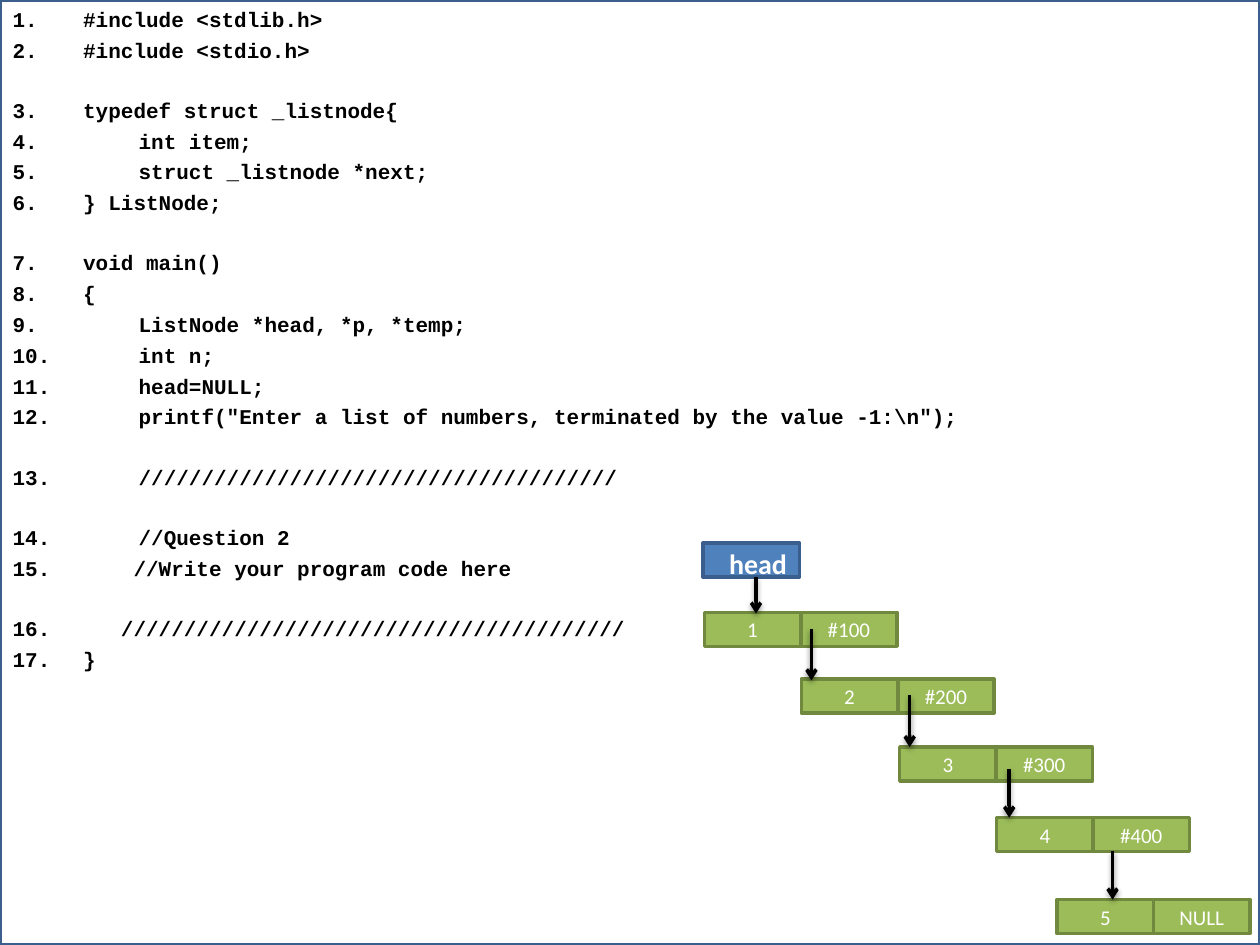
from lxml import etree
from pptx import Presentation, util as u
from pptx.dml.color import RGBColor
from pptx.enum import shapes, text
from pptx.oxml import parse_xml
from pptx.oxml.ns import nsdecls, qn

HUES = {"ink": "000000", "white": "FFFFFF", "green": "9BBC59",
        "moss": "71893E", "blue": "4F81BD", "navy": "3A5F8C"}

# Blocks of code, parted by a gap; each line is (indent in inches, code).
BASE, STEP = 0.56, 1.0
CODE = [
    [(BASE, "#include <stdlib.h>"), (BASE, "#include <stdio.h>")],
    [(BASE, "typedef struct _listnode{"), (STEP, "int item;"),
     (STEP, "struct _listnode *next;"), (BASE, "} ListNode;")],
    [(BASE, "void main()"), (BASE, "{"),
     (STEP, "ListNode *head, *p, *temp;"), (STEP, "int n;"),
     (STEP, "head=NULL;"),
     (STEP, 'printf("Enter a list of numbers, terminated by the value -1:\\n");')],
    [(STEP, "/" * 38)],
    [(STEP, "//Question 2"), (0.96, "//Write your program code here")],
    [(0.86, "/" * 40), (BASE, "}")],
]
LEAD, GAP = 3.2, 20

# Linked list: left and top of each node, its item and its link.
CELL_W, CELL_H = 0.765, 0.27
NODES = [(5.59, 4.86, "1", "#100"), (6.36, 5.39, "2", "#200"),
         (7.14, 5.93, "3", "#300"), (7.91, 6.49, "4", "#400"),
         (8.39, 7.14, "5", "NULL")]
HEAD = (5.58, 4.31)
# Arrows: x, top, bottom
LINKS = [(6.44, 4.99, 5.4), (7.22, 5.52, 5.93), (8.01, 6.1, 6.49),
         (8.83, 6.75, 7.14), (6.0, 4.58, 4.87)]

SHADE = f"""<a:effectLst {nsdecls('a')}>
  <a:outerShdw blurRad="39370" dist="20320" dir="5400000" rotWithShape="0">
    <a:srgbClr val="{HUES['ink']}"><a:alpha val="38000"/></a:srgbClr>
  </a:outerShdw>
</a:effectLst>"""


def hue(name):
    return RGBColor.from_string(HUES[name])


def put(obj, **vals):
    for key, val in vals.items():
        setattr(obj, key, val)


def style(run, font, size, color, bold=False):
    put(run.font, name=font, size=u.Pt(size), bold=bold)
    run.font.color.rgb = hue(color)


def box(slide, spot, size, line, fill=None):
    rect = slide.shapes.add_shape(
        shapes.MSO_SHAPE.RECTANGLE, *map(u.Inches, (*spot, *size)))
    rect.shadow.inherit = False
    if fill:
        rect.fill.solid()
        rect.fill.fore_color.rgb = hue(fill)
    else:
        rect.fill.background()
    rect.line.color.rgb = hue(line)
    rect.line.width = u.Pt(2)
    return rect


def label(rect, words, size, align, bold=False):
    frame = rect.text_frame
    put(frame, word_wrap=True, margin_top=0, margin_bottom=0,
        vertical_anchor=text.MSO_ANCHOR.MIDDLE)
    para = frame.paragraphs[0]
    para.alignment = align
    run = para.add_run()
    run.text = words
    style(run, "Calibri", size, "white", bold)
    return frame


def arrow(slide, x, top, end):
    line = slide.shapes.add_connector(
        shapes.MSO_CONNECTOR.STRAIGHT, *map(u.Inches, (x, top, x, end)))
    line.line.color.rgb = hue("ink")
    line.line.width = u.Pt(2)
    etree.SubElement(line.line._get_or_add_ln(), qn("a:tailEnd"), type="arrow")
    line._element.spPr.append(parse_xml(SHADE))


def listing(body):
    """Fill the body with numbered lines of code."""
    put(body, left=0, top=0, width=u.Inches(9.98), height=u.Inches(7.58))
    frame = body.text_frame
    put(frame, word_wrap=True, auto_size=text.MSO_AUTO_SIZE.NONE,
        vertical_anchor=text.MSO_ANCHOR.TOP)
    first = True
    for block in CODE:
        for row, (indent, code) in enumerate(block):
            para = frame.paragraphs[0] if first else frame.add_paragraph()
            para.space_before = u.Pt(LEAD if row or first else GAP)
            first = False
            props = para._p.get_or_add_pPr()
            props.set("marL", str(u.Inches(indent)))
            props.set("indent", str(-u.Inches(indent)))
            etree.SubElement(props, qn("a:buFont"), typeface="+mj-lt")
            etree.SubElement(props, qn("a:buAutoNum"), type="arabicPeriod")
            run = para.add_run()
            run.text = code
            style(run, "Courier New", 12, "ink", True)


def main():
    deck = Presentation()
    put(deck, slide_width=u.Inches(10), slide_height=u.Inches(7.5))
    slide = deck.slides.add_slide(deck.slide_layouts[1])
    title = slide.shapes.title._element
    title.getparent().remove(title)

    listing(slide.placeholders[1])
    box(slide, (0, 0), (10, 7.5), "navy")

    cell = (CELL_W, CELL_H)
    for left, top, *words in NODES:
        for col, word in enumerate(words):
            rect = box(slide, (left + col * CELL_W, top), cell, "moss", "green")
            label(rect, word, 12, text.PP_ALIGN.CENTER)
    root = box(slide, HEAD, cell, "navy", "blue")
    frame = label(root, "head", 16, text.PP_ALIGN.RIGHT, True)
    frame.margin_top = u.Inches(0.06)
    for link in LINKS:
        arrow(slide, *link)

    deck.save("out.pptx")


if __name__ == "__main__":
    main()
